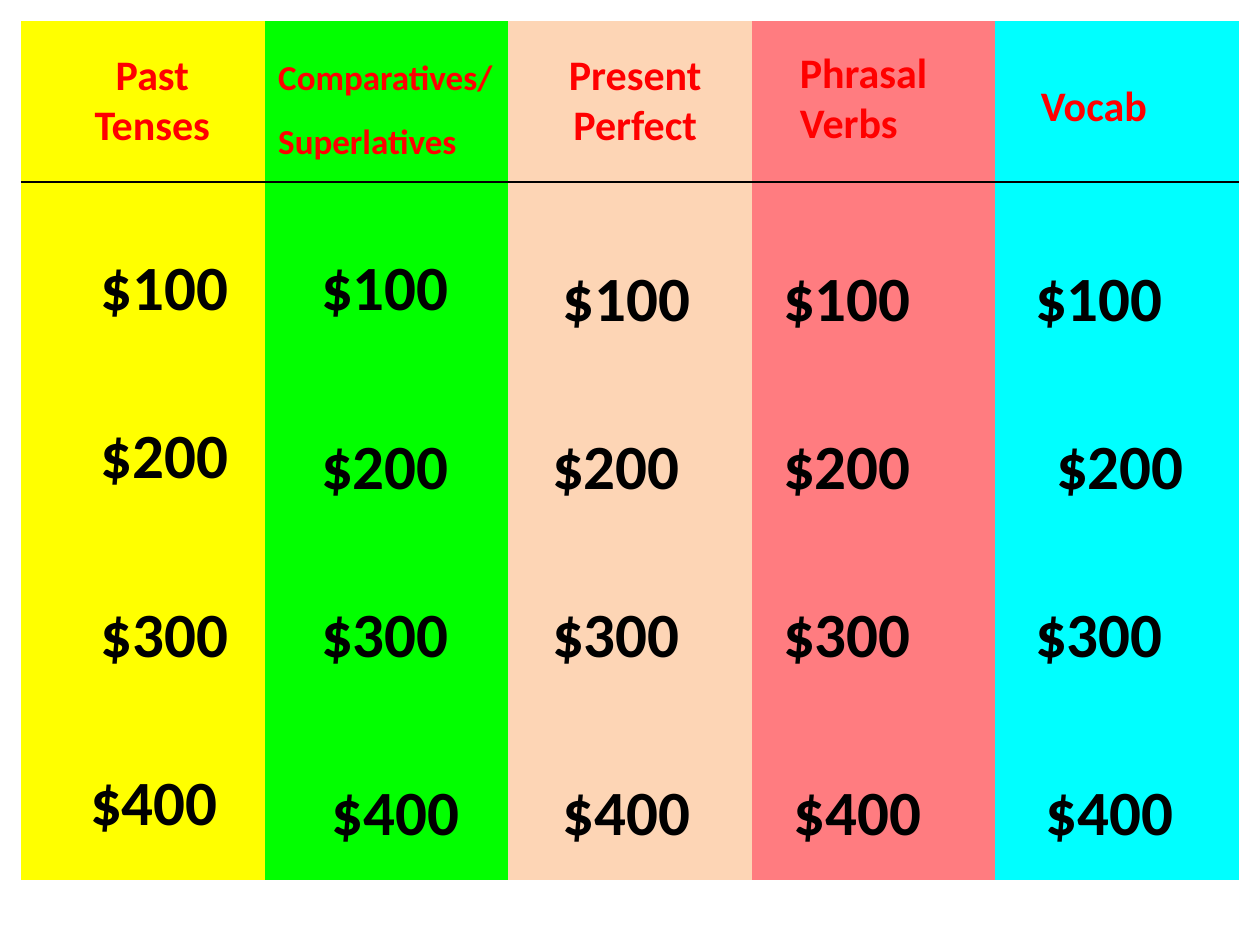
from lxml.etree import SubElement
from pptx import Presentation
from pptx.dml.color import RGBColor
from pptx.enum.text import MSO_AUTO_SIZE, PP_ALIGN
from pptx.oxml.ns import qn
from pptx.util import Pt

THEME = {
    "columns": ["FFFF00", "02FF00", "FDD5B5", "FF7C80", "00FFFF"],
    "rule": "000000",
    "amount": {"name": "Calibri", "size": Pt(36), "bold": True, "color": "000000"},
    "heading": {"name": "Calibri", "size": Pt(24), "bold": True, "color": "FF0000"},
    "small_heading": {"name": "Calibri", "size": Pt(20), "bold": True, "color": "FF0000"},
}


def add_text(slide, box, lines, style, alignment, wrap=True, gap=0):
    shape = slide.shapes.add_textbox(*[Pt(length) for length in box])
    frame = shape.text_frame
    frame.word_wrap = wrap
    frame.auto_size = MSO_AUTO_SIZE.SHAPE_TO_FIT_TEXT
    for index, line in enumerate(lines):
        paragraph = frame.add_paragraph() if index else frame.paragraphs[0]
        paragraph.alignment = alignment
        if index:
            paragraph.space_before = Pt(gap)
        run = paragraph.add_run()
        run.text = line
        for name, value in THEME[style].items():
            if name == "color":
                run.font.color.rgb = RGBColor.from_string(value)
            else:
                setattr(run.font, name, value)


def set_borders(cell, ruled_edge):
    properties = cell._tc.get_or_add_tcPr()
    for edge in ("lnL", "lnR", "lnT", "lnB"):
        if edge == ruled_edge:
            line = SubElement(properties, qn(f"a:{edge}"), w=str(Pt(1.5)))
            fill = SubElement(line, qn("a:solidFill"))
            SubElement(fill, qn("a:srgbClr"), val=THEME["rule"])
        else:
            line = SubElement(properties, qn(f"a:{edge}"), w="0")
            SubElement(line, qn("a:noFill"))


presentation = Presentation()
presentation.slide_width = Pt(720)
presentation.slide_height = Pt(540)
slide = presentation.slides.add_slide(presentation.slide_layouts[6])

row_heights = [92.2] + [99.7] * 4
board = slide.shapes.add_table(5, 5, Pt(12), Pt(12), Pt(696), Pt(491)).table
board.first_row = False
board.horz_banding = False
for column in board.columns:
    column.width = Pt(139.2)
for row_index, height in enumerate(row_heights):
    board.rows[row_index].height = Pt(height)
    for column_index, color in enumerate(THEME["columns"]):
        cell = board.cell(row_index, column_index)
        set_borders(cell, {0: "lnB", 1: "lnT"}.get(row_index))
        cell.fill.solid()
        cell.fill.fore_color.rgb = RGBColor.from_string(color)

amount_rows = [
    ("$100", [50, 176, 314, 440, 584], [138, 138, 144, 144, 144]),
    ("$200", [50, 176, 308, 440, 596], [234, 240, 240, 240, 240]),
    ("$300", [50, 176, 308, 440, 584], [336] * 5),
    ("$400", [44, 182, 314, 446, 590], [432, 438, 438, 438, 438]),
]
for amount, lefts, tops in amount_rows:
    for left, top in zip(lefts, tops):
        add_text(slide, (left, top, 88, 50.4), [amount], "amount", PP_ALIGN.CENTER, wrap=False)

headings = [
    (["Past Tenses"], (24, 24, 126, 65), "heading", PP_ALIGN.CENTER),
    (["Comparatives/", "Superlatives"], (151.9, 28.3, 140.4, 68), "small_heading", PP_ALIGN.LEFT),
    (["Present Perfect"], (306, 24, 114, 65), "heading", PP_ALIGN.CENTER),
    (["Phrasal Verbs"], (450, 23, 114, 65), "heading", PP_ALIGN.LEFT),
    (["Vocab"], (587.7, 42, 114, 36), "heading", PP_ALIGN.LEFT),
]
for lines, box, style, alignment in headings:
    add_text(slide, box, lines, style, alignment, gap=12.5)

presentation.save("out.pptx")
